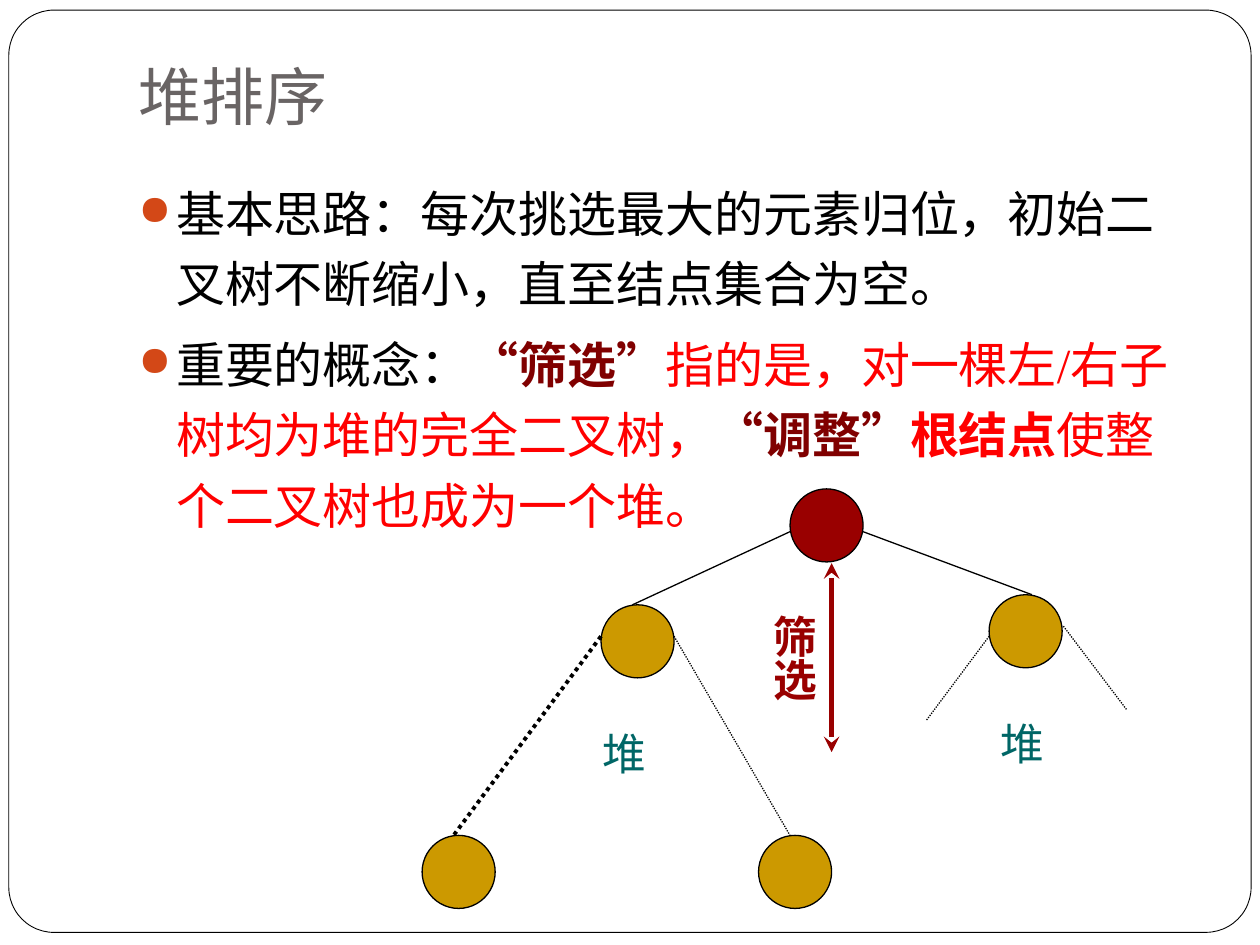
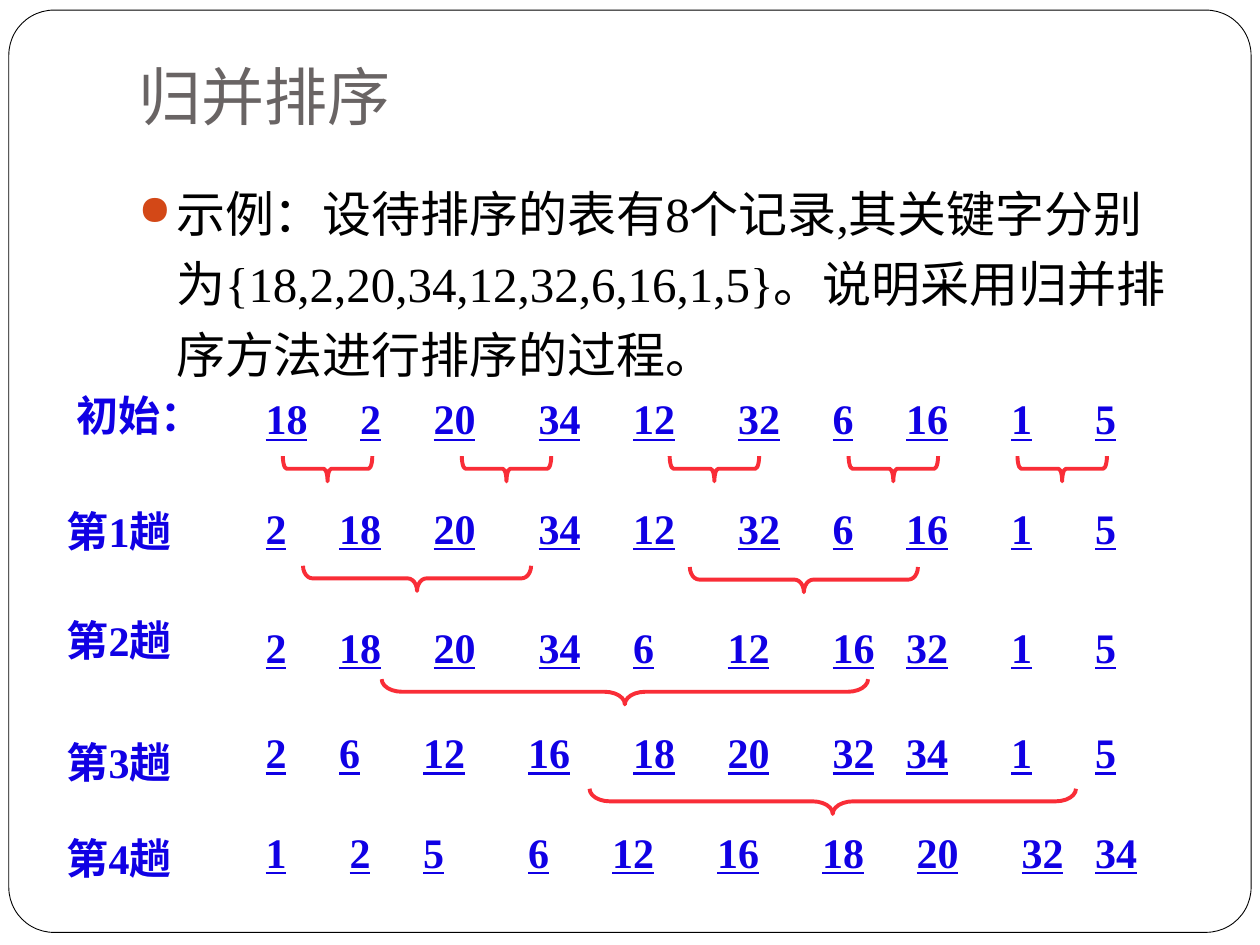
from lxml import etree
from pptx import Presentation
from pptx.dml.color import RGBColor
from pptx.enum.dml import MSO_LINE
from pptx.enum.shapes import MSO_CONNECTOR, MSO_SHAPE
from pptx.enum.text import MSO_ANCHOR, MSO_AUTO_SIZE, PP_ALIGN
from pptx.oxml.ns import qn
from pptx.util import Emu, Inches, Pt

ROUND_RECT, OVAL, BRACE = MSO_SHAPE.ROUNDED_RECTANGLE, MSO_SHAPE.OVAL, MSO_SHAPE.LEFT_BRACE
STRAIGHT, DOTTED = MSO_CONNECTOR.STRAIGHT, MSO_LINE.ROUND_DOT
BOTTOM, LEFT, NO_FIT = MSO_ANCHOR.BOTTOM, PP_ALIGN.LEFT, MSO_AUTO_SIZE.NONE

# The slide is a grid of 10 columns and 7.5 rows of square cells
SLIDE_W, SLIDE_H = Inches(10), Inches(7.5)
CELL = SLIDE_W / 10
TITLE_ONLY = 5

COLORS = {
    "black": "000000",
    "title": "696464",
    "bullet": "D34817",
    "term": "800000",
    "red": "FF0000",
    "root": "990000",
    "node": "CC9900",
    "heap": "006666",
    "blue": "1000E4",
    "brace": "F92D37",
}
TITLE_FONT, BODY_FONT = "Cabin", "Times New Roman"
NODE_SIZE = 0.58
BRACE_DEPTH = 0.2
# Half the width of a 24 pt digit, in points: the step of the key columns
KEY_STEP = 6


def grid(*cells):
    return [Emu(round(CELL * n)) for n in cells]


def color(name):
    return RGBColor.from_string(COLORS[name])


# Text
def add_run(paragraph, text, size, ink, bold=False, underline=False, face=BODY_FONT):
    run = paragraph.add_run()
    run.text = text
    font = run.font
    font.name, font.size, font.bold, font.underline = face, Pt(size), bold, underline
    font.color.rgb = color(ink)


def add_text_area(slide, left, top, width, height, wrap=True):
    frame = slide.shapes.add_textbox(*grid(left, top, width, height)).text_frame
    frame.word_wrap = wrap
    return frame


def add_label(slide, text, box, size, ink, bold=False, wrap=True):
    frame = add_text_area(slide, *box, wrap=wrap)
    add_run(frame.paragraphs[0], text, size, ink, bold)
    return frame


def set_bullet(paragraph):
    props = paragraph._p.get_or_add_pPr()
    indent = Inches(0.3)
    props.set("marL", str(indent))
    props.set("indent", str(-indent))
    bullet_color = etree.SubElement(props, qn("a:buClr"))
    etree.SubElement(bullet_color, qn("a:srgbClr"), val=COLORS["bullet"])
    etree.SubElement(props, qn("a:buSzPct"), val="85000")
    etree.SubElement(props, qn("a:buChar"), char="●")


def add_body(slide, points):
    frame = add_text_area(slide, 1, 1.31, 8.5, 5.35)
    for index, point in enumerate(points):
        paragraph = frame.add_paragraph() if index else frame.paragraphs[0]
        set_bullet(paragraph)
        paragraph.line_spacing = 1.2
        if index:
            paragraph.space_before = Pt(5.8)
        for text, ink, bold in point:
            add_run(paragraph, text, 28, ink, bold)


# Shapes and lines
def add_figure(slide, kind, box, fill=None, line="black", weight=0.75):
    figure = slide.shapes.add_shape(kind, *grid(*box))
    figure.shadow.inherit = False
    if fill:
        figure.fill.solid()
        figure.fill.fore_color.rgb = color(fill)
    else:
        figure.fill.background()
    figure.line.color.rgb = color(line)
    figure.line.width = Pt(weight)
    return figure


def add_node(slide, left, top, fill="node"):
    add_figure(slide, OVAL, (left, top, NODE_SIZE, NODE_SIZE), fill)


def add_link(slide, start, end, ink="black", weight=0.75, dotted=False):
    link = slide.shapes.add_connector(STRAIGHT, *grid(*start, *end))
    link.line.color.rgb = color(ink)
    link.line.width = Pt(weight)
    if dotted:
        link.line.dash_style = DOTTED
    etree.SubElement(link._element.spPr, qn("a:effectLst"))
    return link


def add_arrowheads(link):
    outline = link.line._get_or_add_ln()
    for end in ("a:headEnd", "a:tailEnd"):
        etree.SubElement(outline, qn(end), type="stealth")


def add_brace(slide, center, middle, length):
    box = (center - BRACE_DEPTH / 2, middle - length / 2, BRACE_DEPTH, length)
    brace = add_figure(slide, BRACE, box, line="brace", weight=2.25)
    brace.rotation = 270
    # The curl is a 24th of the brace's length
    brace.adjustments[0] = length / 24 / BRACE_DEPTH


def add_key_row(slide, top, runs, steps):
    """Write sorted runs, parted by |, with each key on its tab stop."""
    paragraph = add_text_area(slide, 2.01, top, 7.64, 0.5).paragraphs[0]
    tabs = etree.SubElement(paragraph._p.get_or_add_pPr(), qn("a:tabLst"))
    for step in steps[1:]:
        etree.SubElement(tabs, qn("a:tab"), pos=str(Pt(step * KEY_STEP)), algn="l")
    for index, keys in enumerate(runs.split("|")):
        if index:
            add_run(paragraph, "\t", 24, "blue", True)
        add_run(paragraph, "\t".join(keys.split()), 24, "blue", True, underline=True)


# What both slides share
def add_slide(prs, heading):
    slide = prs.slides.add_slide(prs.slide_layouts[TITLE_ONLY])
    border = add_figure(slide, ROUND_RECT, (0.07, 0.08, 9.86, 7.32), weight=0.5)
    border.adjustments[0] = 0.049
    title = slide.shapes.title
    title.left, title.top, title.width, title.height = grid(1, 0.21, 8.5, 0.95)
    frame = title.text_frame
    frame.auto_size = NO_FIT
    frame.vertical_anchor = BOTTOM
    frame.margin_bottom = Inches(0.1)
    paragraph = frame.paragraphs[0]
    paragraph.alignment = LEFT
    add_run(paragraph, heading, 36, "title", face=TITLE_FONT)
    return slide


def build_heap_sort(prs):
    slide = add_slide(prs, "堆排序")
    add_body(slide, [
        [("基本思路：每次挑选最大的元素归位，初始二叉树不断缩小，直至结点集合为空。", "black", False)],
        [("重要的概念：", "black", False),
         ("“筛选”", "term", True),
         ("指的是，对一棵左/右子树均为堆的完全二叉树，", "red", False),
         ("“调整”", "term", True),
         ("根结点", "red", True),
         ("使整个二叉树也成为一个堆。", "red", False)],
    ])

    # Tree: root, its two children and the leaves of the left heap
    add_node(slide, 6.27, 3.88, "root")
    for left, top in [(4.77, 4.8), (7.85, 4.72), (3.35, 6.63), (6.02, 6.63)]:
        add_node(slide, left, top)
    add_link(slide, (6.27, 4.22), (5.02, 4.8))
    add_link(slide, (6.85, 4.22), (8.19, 4.72))
    for start, end, weight in [
        ((4.77, 5.05), (3.6, 6.63), 2.25),
        ((5.35, 5.05), (6.27, 6.63), 0.75),
        ((7.85, 5.05), (7.35, 5.72), 0.75),
        ((8.44, 4.97), (8.94, 5.63), 0.75),
    ]:
        add_link(slide, start, end, weight=weight, dotted=True)
    for left, top in [(4.68, 5.72), (7.84, 5.64)]:
        add_label(slide, "堆", (left, top, 0.54, 0.52), 25, "heap", wrap=False)

    # Sifting arrow and its vertical label
    add_arrowheads(add_link(slide, (6.6, 4.47), (6.6, 5.97), "root", 3))
    sifting = add_label(slide, "筛选", (5.95, 4.78, 0.61, 0.93), 25, "root", True)
    sifting._txBody.bodyPr.set("vert", "eaVert")
    sifting.margin_left = sifting.margin_right = Inches(0.05)
    sifting.margin_top = sifting.margin_bottom = Inches(0.1)


def build_merge_sort(prs):
    slide = add_slide(prs, "归并排序")
    add_body(slide, [[(
        "示例：设待排序的表有8个记录,其关键字分别为{18,2,20,34,12,32,6,16,1,5}。"
        "说明采用归并排序方法进行排序的过程。", "black", False)]])

    # Passes: label, its left and top, top of the keys, runs, key columns
    passes = [
        ("初始：", 0.51, 3.04, 3.07, "18|2|20|34|12|32|6|16|1|5",
         (0, 9, 16, 26, 35, 45, 54, 61, 71, 79)),
        ("第1趟", 0.43, 3.96, 3.94, "2 18|20 34|12 32|6 16|1 5",
         (0, 7, 16, 26, 35, 45, 54, 61, 71, 79)),
        ("第2趟", 0.43, 4.83, 4.88, "2 18 20 34|6 12 16 32|1 5",
         (0, 7, 16, 26, 35, 44, 54, 61, 71, 79)),
        ("第3趟", 0.43, 5.8, 5.72, "2 6 12 16 18 20 32 34|1 5",
         (0, 7, 15, 25, 35, 44, 54, 61, 71, 79)),
        ("第4趟", 0.43, 6.56, 6.51, "1 2 5 6 12 16 18 20 32 34",
         (0, 8, 15, 25, 33, 43, 53, 62, 72, 79)),
    ]
    for label, left, label_top, keys_top, runs, steps in passes:
        add_label(slide, label, (left, label_top, 1.65, 0.5), 24, "blue", True)
        add_key_row(slide, keys_top, runs, steps)

    # Braces that join the merged runs: length, then centres
    for length, centers in [
        (0.71, [(2.6, 3.72), (4.02, 3.72), (5.67, 3.72), (7.09, 3.72), (8.43, 3.72)]),
        (1.81, [(3.31, 4.59), (6.38, 4.6)]),
        (3.86, [(4.96, 5.49), (6.61, 6.36)]),
    ]:
        for center, middle in centers:
            add_brace(slide, center, middle, length)


def main():
    prs = Presentation()
    prs.slide_width, prs.slide_height = SLIDE_W, SLIDE_H
    build_heap_sort(prs)
    build_merge_sort(prs)
    prs.save("out.pptx")


if __name__ == "__main__":
    main()
